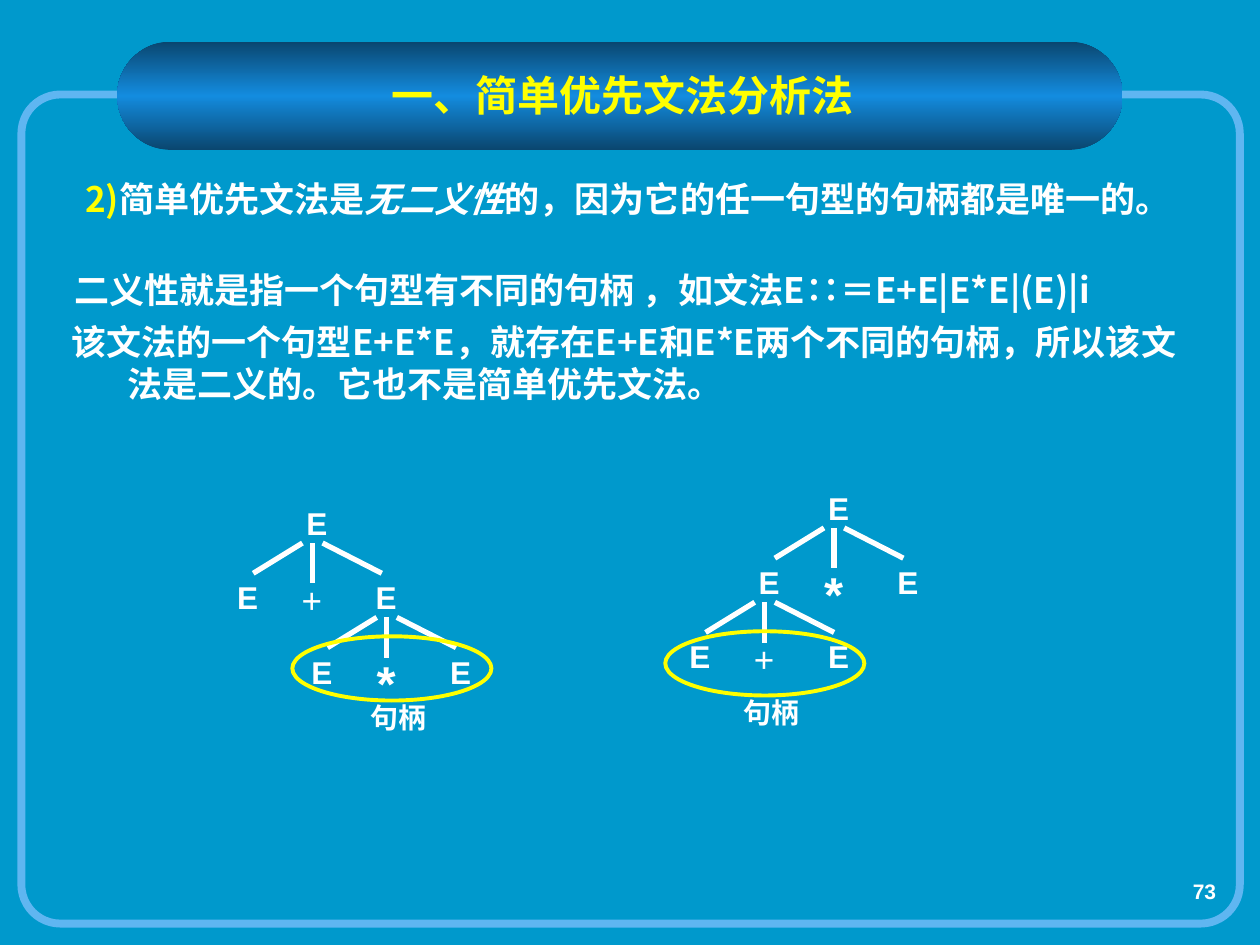
from copy import deepcopy

from lxml import etree
from pptx import Presentation
from pptx.dml.color import RGBColor
from pptx.enum.shapes import MSO_CONNECTOR, MSO_SHAPE
from pptx.enum.text import MSO_ANCHOR, PP_ALIGN
from pptx.oxml.ns import qn
from pptx.util import Inches, Pt

BACKGROUND = RGBColor(0x00, 0x99, 0xCC)
FRAME_BLUE = RGBColor(0x5F, 0xB6, 0xF1)
BANNER_EDGE = RGBColor(0x0A, 0x46, 0x6F)
BANNER_MIDDLE = RGBColor(0x13, 0x8C, 0xDF)
YELLOW = RGBColor(0xFF, 0xFF, 0x00)
WHITE = RGBColor(0xFF, 0xFF, 0xFF)

CHINESE_FONT = "Noto Sans CJK SC"
LATIN_FONT = "Arial"

SYMBOL_SIZES = {"E": 18, "+": 20, "*": 28}
SYMBOL_HEIGHTS = {"E": 0.4, "+": 0.43, "*": 0.57}
SYMBOL_WIDTH = 0.55


def add_run(paragraph, text, size, color=WHITE, font=LATIN_FONT, bold=True, italic=False):
    run = paragraph.add_run()
    run.text = text
    run.font.size = Pt(size)
    run.font.name = font
    run.font.bold = bold
    run.font.italic = italic
    run.font.color.rgb = color
    east_asian = etree.SubElement(run._r.get_or_add_rPr(), qn("a:ea"))
    east_asian.set("typeface", CHINESE_FONT)


def add_text_box(shapes, left, top, width, height):
    box = shapes.add_textbox(Inches(left), Inches(top), Inches(width), Inches(height))
    box.text_frame.word_wrap = True
    return box.text_frame


def add_label(shapes, box, text, size, alignment=PP_ALIGN.CENTER, **style):
    frame = add_text_box(shapes, *box)
    paragraph = frame.paragraphs[0]
    paragraph.alignment = alignment
    add_run(paragraph, text, size, **style)
    return frame


def add_outline(shapes, kind, box, color, width):
    shape = shapes.add_shape(kind, *(Inches(value) for value in box))
    shape.shadow.inherit = False
    shape.fill.background()
    shape.line.color.rgb = color
    shape.line.width = Pt(width)
    return shape


def add_banner(slide, left, top, width, height):
    banner = slide.shapes.add_shape(
        MSO_SHAPE.ROUNDED_RECTANGLE, Inches(left), Inches(top), Inches(width), Inches(height))
    banner.adjustments[0] = 0.5
    banner.shadow.inherit = False
    banner.line.fill.background()
    banner.fill.gradient()
    banner.fill.gradient_angle = 90
    stop_list = banner._element.spPr.find(qn("a:gradFill")).find(qn("a:gsLst"))
    stop_list.append(deepcopy(stop_list[0]))
    colors = (BANNER_EDGE, BANNER_MIDDLE, BANNER_EDGE)
    for index, (stop, color) in enumerate(zip(banner.fill.gradient_stops, colors)):
        stop.position = index / 2
        stop.color.rgb = color

    title = add_label(slide.shapes, (left + 0.7, top + 0.17, 6.62, 0.5),
                      "一、简单优先文法分析法", 24, color=YELLOW, font=CHINESE_FONT)
    title.vertical_anchor = MSO_ANCHOR.MIDDLE


def add_body(slide, left, top, width, height):
    frame = add_text_box(slide.shapes, left, top, width, height)
    frame.margin_top = Inches(0.08)
    # Each paragraph: alignment, first-line indent, space after, runs.
    paragraphs = [
        (PP_ALIGN.CENTER, -0.49, 28, [
            ("2)", YELLOW, False),
            ("简单优先文法是", WHITE, False),
            ("无二义性", WHITE, True),
            ("的，因为它的任一句型的句柄都是唯一的。", WHITE, False)]),
        (PP_ALIGN.LEFT, -0.42, 5.5, [
            ("二义性就是指一个句型有不同的句柄 ，如文法E∷＝E+E|E*E|(E)|i", WHITE, False)]),
        (PP_ALIGN.LEFT, -0.44, 0, [
            ("该文法的一个句型E+E*E，就存在E+E和E*E两个不同的句柄，"
             "所以该文法是二义的。它也不是简单优先文法。", WHITE, False)]),
    ]
    for index, (alignment, indent, space_after, runs) in enumerate(paragraphs):
        paragraph = frame.add_paragraph() if index else frame.paragraphs[0]
        paragraph.alignment = alignment
        paragraph.line_spacing = Pt(24)
        paragraph.space_after = Pt(space_after)
        properties = paragraph._p.get_or_add_pPr()
        properties.set("marL", str(Inches(0.49)))
        properties.set("indent", str(Inches(indent)))
        for text, color, italic in runs:
            add_run(paragraph, text, 20, color, CHINESE_FONT, italic=italic)


def add_symbol(slide, left, top, symbol):
    add_label(slide.shapes, (left, top, SYMBOL_WIDTH, SYMBOL_HEIGHTS[symbol]),
              symbol, SYMBOL_SIZES[symbol], bold=symbol != "+")


def add_branch(slide, left, top, operator):
    """Draw the three edges and children below a parent symbol at left, top."""
    for start, end, drop in ((0.16, -0.23, 0.24), (0.24, 0.24, 0.32), (0.32, 0.79, 0.24)):
        edge = slide.shapes.add_connector(
            MSO_CONNECTOR.STRAIGHT, Inches(left + start), Inches(top + 0.36),
            Inches(left + end), Inches(top + 0.36 + drop))
        edge.line.color.rgb = WHITE
        edge.line.width = Pt(3)
        etree.SubElement(edge._element.spPr, qn("a:effectLst"))
    for offset, symbol in ((-0.55, "E"), (-0.04, operator), (0.55, "E")):
        add_symbol(slide, left + offset, top + 0.59, symbol)


def add_handle(slide, left, top):
    """Circle the handle of a tree and name it."""
    shapes = slide.shapes.add_group_shape().shapes
    add_outline(shapes, MSO_SHAPE.OVAL, (left, top, 1.58, 0.51), YELLOW, 2.25)
    frame = add_label(shapes, (left + 0.23, top + 0.51, 1.22, 0.27), "句柄", 16)
    frame.margin_left = frame.margin_right = frame.margin_top = frame.margin_bottom = 0


def add_tree(slide, left, top, operators, lower_offset, handle_offset):
    """Draw a two-level syntax tree whose root symbol is at left, top."""
    upper, lower = operators
    add_symbol(slide, left, top, "E")
    add_branch(slide, left, top, upper)
    add_branch(slide, left + lower_offset, top + 0.59, lower)
    add_handle(slide, left + handle_offset[0], top + handle_offset[1])


def main():
    presentation = Presentation()
    presentation.slide_width = Inches(10)
    presentation.slide_height = Inches(7.5)
    slide = presentation.slides.add_slide(presentation.slide_layouts[6])
    slide.background.fill.solid()
    slide.background.fill.fore_color.rgb = BACKGROUND

    add_label(slide.shapes, (7.67, 6.92, 2.08, 0.42), "73", 12, PP_ALIGN.RIGHT)
    frame = add_outline(slide.shapes, MSO_SHAPE.ROUNDED_RECTANGLE,
                        (0.17, 0.75, 9.67, 6.58), FRAME_BLUE, 4.5)
    frame.adjustments[0] = 0.047
    add_banner(slide, 0.93, 0.33, 7.98, 0.86)
    add_body(slide, 0.42, 1.33, 9.13, 1.93)
    add_tree(slide, 2.24, 3.95, "+*", 0.59, (0.08, 1.1))
    add_tree(slide, 6.38, 3.83, "*+", -0.55, (-1.1, 1.18))

    presentation.save("out.pptx")


if __name__ == "__main__":
    main()
